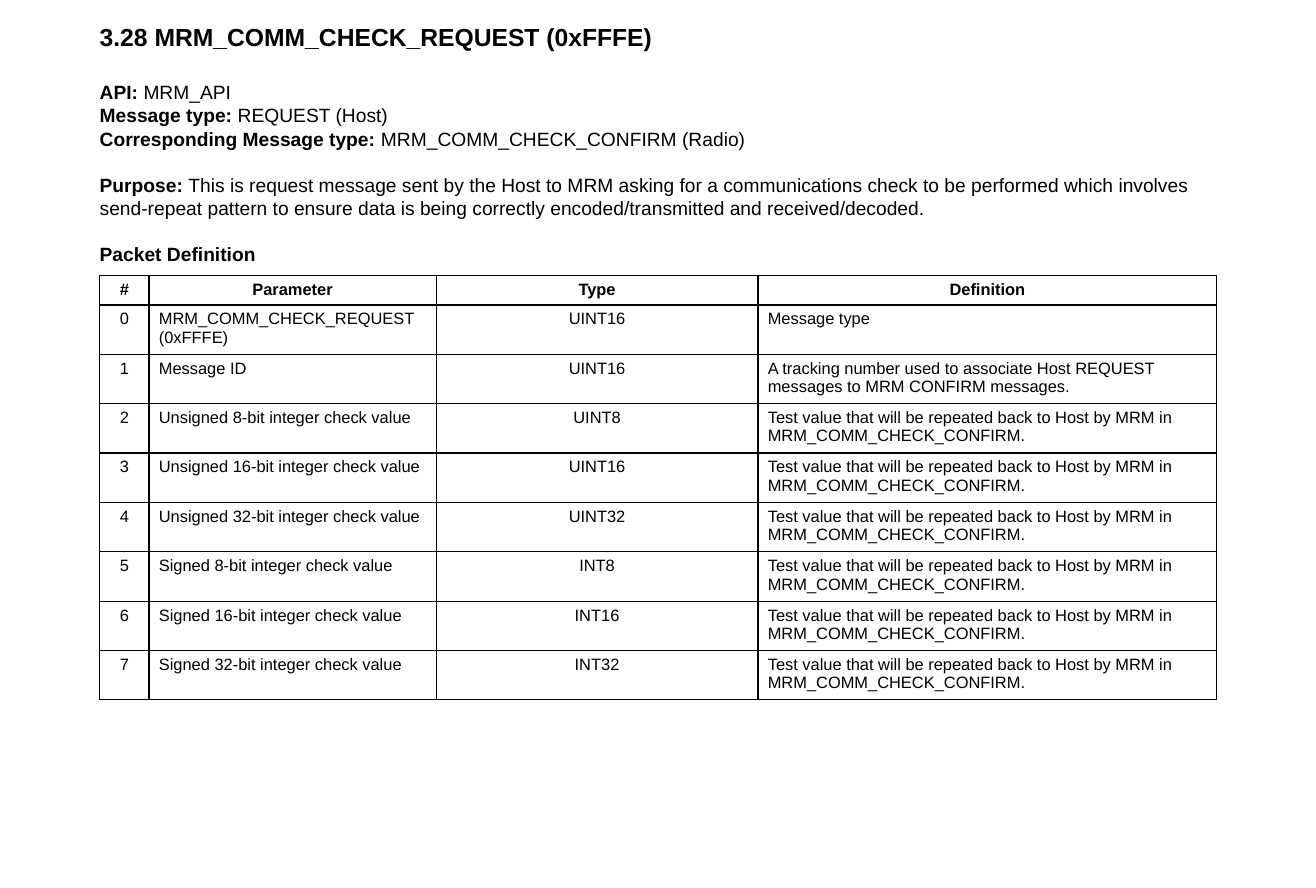
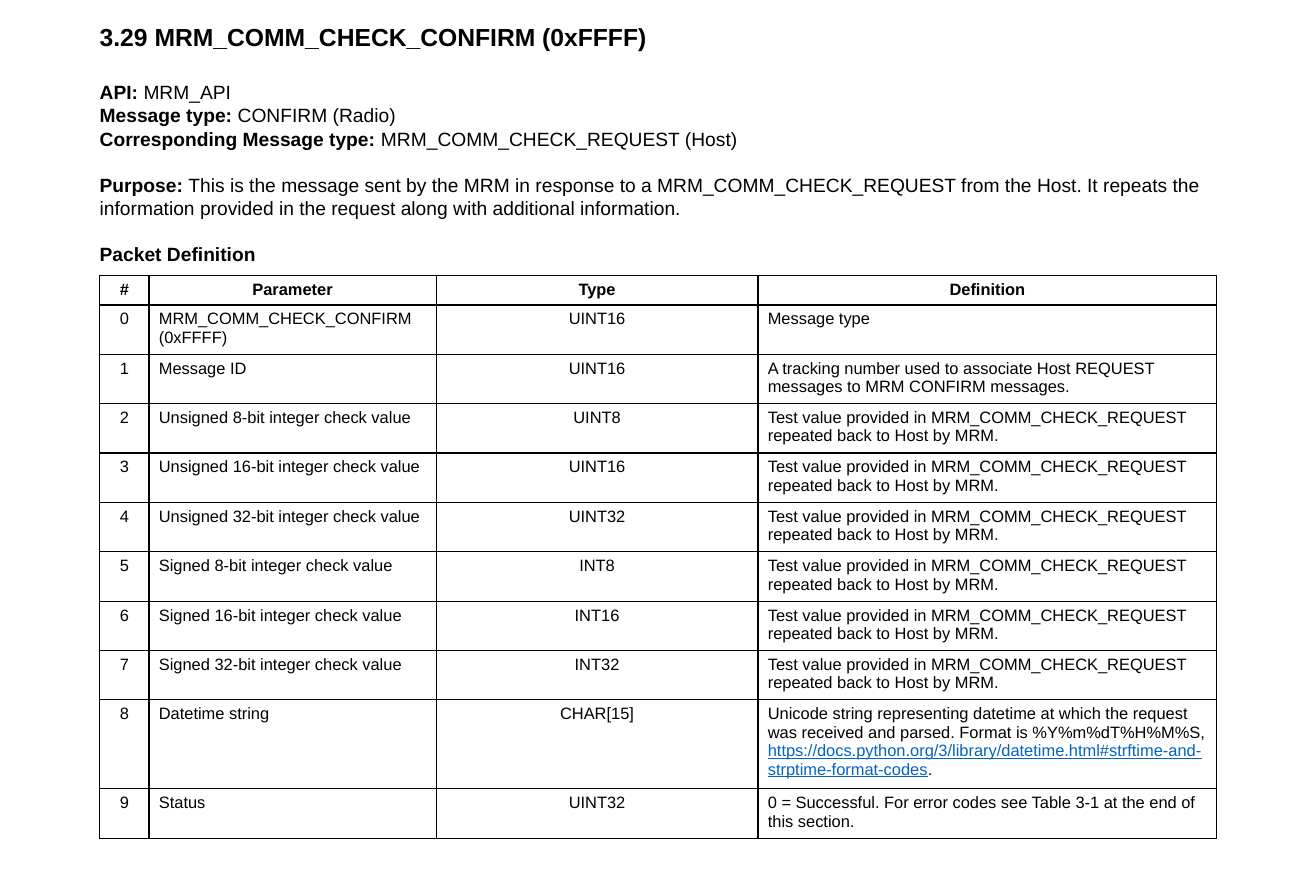
import pptx
import pptx.dml.color
import pptx.enum.text
import pptx.oxml.ns
import pptx.util
from lxml import etree

Inches = pptx.util.Inches
Pt = pptx.util.Pt
CENTER = pptx.enum.text.PP_ALIGN.CENTER
LEFT = pptx.enum.text.PP_ALIGN.LEFT

COLOURS = {"text": "000000", "border": "000000", "link": "0563C1"}
FONT = "Arial"
SLIDE_WIDTH, SLIDE_HEIGHT = 40 / 3, 9
MARGIN, CONTENT_WIDTH = 1.01, 11.32
INTRO_TOP, INTRO_HEIGHT = 0.22, 2.49
TABLE_TOP = 2.79
COLUMN_WIDTHS = (0.5, 2.91, 3.26, 4.65)
COLUMN_ALIGNMENTS = (CENTER, LEFT, CENTER, LEFT)
HEADINGS = ("#", "Parameter", "Type", "Definition")
HEADER_HEIGHT, ROW_HEIGHT, TALL_ROW_HEIGHT = 0.3, 0.5, 0.9
TITLE_GAP, SECTION_GAP = 21.5, 16.75

TRACKING = ("A tracking number used to associate Host REQUEST messages "
            "to MRM CONFIRM messages.")
FORMAT_CODES_ADDRESS = ("https://docs.python.org/3/library/datetime.html"
                        "#strftime-and-strptime-format-codes")

MESSAGES = [
    {
        "title": "3.28 MRM_COMM_CHECK_REQUEST (0xFFFE)",
        "name": "MRM_COMM_CHECK_REQUEST (0xFFFE)",
        "type": "REQUEST (Host)",
        "counterpart": "MRM_COMM_CHECK_CONFIRM (Radio)",
        "purpose": "This is request message sent by the Host to MRM asking for a "
                   "communications check to be performed which involves send-repeat "
                   "pattern to ensure data is being correctly encoded/transmitted "
                   "and received/decoded.",
        "check": "Test value that will be repeated back to Host by MRM in "
                 "MRM_COMM_CHECK_CONFIRM.",
        "extra": [],
    },
    {
        "title": "3.29 MRM_COMM_CHECK_CONFIRM (0xFFFF)",
        "name": "MRM_COMM_CHECK_CONFIRM (0xFFFF)",
        "type": "CONFIRM (Radio)",
        "counterpart": "MRM_COMM_CHECK_REQUEST (Host)",
        "purpose": "This is the message sent by the MRM in response to a "
                   "MRM_COMM_CHECK_REQUEST from the Host. It repeats the information "
                   "provided in the request along with additional information.",
        "check": "Test value provided in MRM_COMM_CHECK_REQUEST repeated back to "
                 "Host by MRM.",
        "extra": [
            ("Datetime string", "CHAR[15]",
             "Unicode string representing datetime at which the request was received "
             f"and parsed. Format is %Y%m%dT%H%M%S, {FORMAT_CODES_ADDRESS}."),
            ("Status", "UINT32",
             "0 = Successful. For error codes see Table 3-1 at the end of this section."),
        ],
    },
]


def add_text(paragraph, text, size=14, bold=False, colour="text", underline=False):
    """Append a formatted run to a paragraph."""
    run = paragraph.add_run()
    run.text = text
    font = run.font
    font.name, font.size, font.bold, font.underline = FONT, Pt(size), bold, underline
    font.color.rgb = pptx.dml.color.RGBColor.from_string(COLOURS[colour])


def add_intro(slide, message):
    """Add the title and the labelled facts above the table."""
    shape = slide.shapes.add_textbox(Inches(MARGIN), Inches(INTRO_TOP),
                                     Inches(CONTENT_WIDTH), Inches(INTRO_HEIGHT))
    frame = shape.text_frame
    frame.word_wrap = True
    frame.auto_size = pptx.enum.text.MSO_AUTO_SIZE.SHAPE_TO_FIT_TEXT
    frame.margin_left = frame.margin_right = 0
    frame.margin_top = frame.margin_bottom = 0

    add_text(frame.paragraphs[0], message["title"], size=18, bold=True)
    facts = [
        ("API: ", "MRM_API", TITLE_GAP),
        ("Message type: ", message["type"], 0),
        ("Corresponding Message type: ", message["counterpart"], 0),
        ("Purpose: ", message["purpose"], SECTION_GAP),
        ("Packet Definition", "", SECTION_GAP),
    ]
    for label, value, gap in facts:
        paragraph = frame.add_paragraph()
        paragraph.space_before = Pt(gap)
        add_text(paragraph, label, bold=True)
        if value:
            add_text(paragraph, value)


def packet_rows(message):
    """Return the numbered table rows of a message."""
    fields = [(message["name"], "UINT16", "Message type"),
              ("Message ID", "UINT16", TRACKING)]
    for sign, code in (("Unsigned", "UINT"), ("Signed", "INT")):
        for bits in (8, 16, 32):
            fields.append((f"{sign} {bits}-bit integer check value",
                           f"{code}{bits}", message["check"]))
    fields += message["extra"]
    return [(str(number), *field) for number, field in enumerate(fields)]


def set_borders(cell):
    """Draw a one point line on each side of a cell."""
    properties = cell._tc.get_or_add_tcPr()
    qualified = pptx.oxml.ns.qn
    for side in ("a:lnL", "a:lnR", "a:lnT", "a:lnB"):
        line = etree.SubElement(properties, qualified(side), w=str(Pt(1)))
        fill = etree.SubElement(line, qualified("a:solidFill"))
        etree.SubElement(fill, qualified("a:srgbClr"), val=COLOURS["border"])


def fill_cell(cell, text, alignment, bold):
    """Write a cell, with the web address in link style."""
    set_borders(cell)
    cell.fill.background()
    paragraph = cell.text_frame.paragraphs[0]
    paragraph.alignment = alignment
    before, address, after = text.partition(FORMAT_CODES_ADDRESS)
    add_text(paragraph, before, size=12, bold=bold)
    if address:
        add_text(paragraph, address, size=12, colour="link", underline=True)
        add_text(paragraph, after, size=12)


def add_packet_table(slide, rows):
    """Add the packet definition table."""
    heights = [HEADER_HEIGHT] + [
        TALL_ROW_HEIGHT if FORMAT_CODES_ADDRESS in row[-1] else ROW_HEIGHT
        for row in rows]
    table = slide.shapes.add_table(
        len(heights), len(HEADINGS), Inches(MARGIN), Inches(TABLE_TOP),
        Inches(CONTENT_WIDTH), Inches(sum(heights))).table
    table.first_row = table.horz_banding = False
    for column, width in zip(table.columns, COLUMN_WIDTHS):
        column.width = Inches(width)
    for index, values in enumerate([HEADINGS] + rows):
        header = index == 0
        table.rows[index].height = Inches(heights[index])
        for column, text in enumerate(values):
            alignment = CENTER if header else COLUMN_ALIGNMENTS[column]
            fill_cell(table.cell(index, column), text, alignment, bold=header)


def main():
    """Build one slide for each message."""
    presentation = pptx.Presentation()
    presentation.slide_width = Inches(SLIDE_WIDTH)
    presentation.slide_height = Inches(SLIDE_HEIGHT)
    for message in MESSAGES:
        slide = presentation.slides.add_slide(presentation.slide_layouts[6])
        add_intro(slide, message)
        add_packet_table(slide, packet_rows(message))
    presentation.save("out.pptx")


main()
